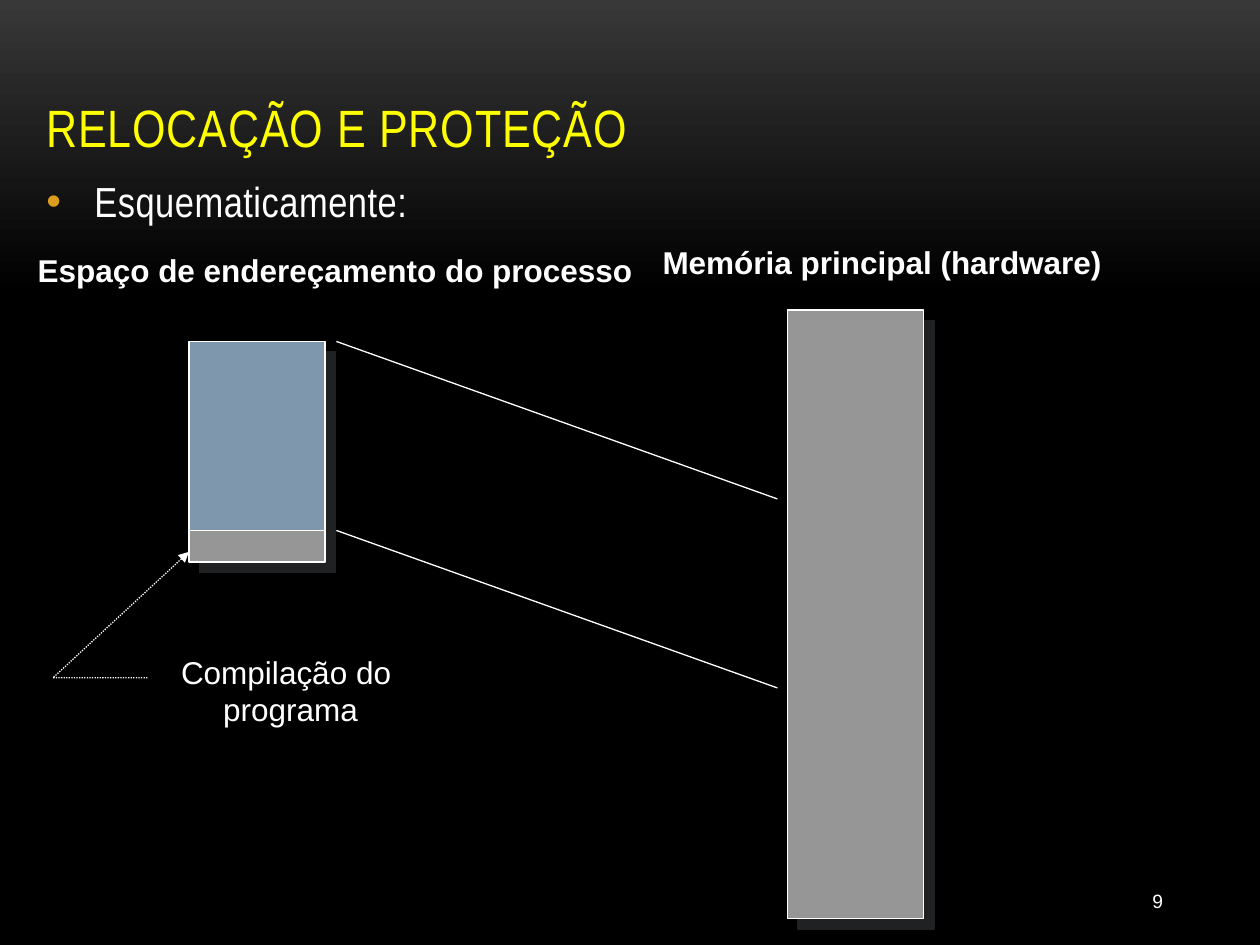
from lxml.etree import SubElement
from pptx import Presentation
from pptx.dml.color import RGBColor
from pptx.enum.dml import MSO_LINE
from pptx.enum.shapes import MSO_CONNECTOR, MSO_SHAPE
from pptx.enum.text import MSO_ANCHOR as ANCHOR, PP_ALIGN as ALIGN
from pptx.oxml.ns import qn
from pptx.util import Inches, Pt

WHITE, GRAY, BLUE = "FFFFFF", "969696", "7E97AD"
YELLOW, AMBER, SHADOW = "FFFF00", "DC9E1F", "1F2123"


def rgb(value):
    return RGBColor.from_string(value)


def add_xml(parent, tag, **attrs):
    return SubElement(parent, qn(tag), {k: str(v) for k, v in attrs.items()})


class SlideBuilder:
    line_width = Pt(0.75)

    def __init__(self, s):
        self.s = s
        self.shapes = s.shapes

    def background(self, top, bottom, end):
        fill = self.s.background.fill
        fill.gradient()
        fill.gradient_angle = 270
        for stop, color, pos in zip(fill.gradient_stops, (top, bottom), (0, end)):
            stop.color.rgb = rgb(color)
            stop.position = pos

    def outline(self, sp):
        sp.line.color.rgb = rgb(WHITE)
        sp.line.width = self.line_width

    def text(self, text, box, size, font="Arial", color=WHITE, bold=False,
             spacing=0, wrap=False, anchor=ANCHOR.TOP, bullet=None, **fmt):
        tf = self.shapes.add_textbox(*map(Inches, box)).text_frame
        tf.word_wrap = wrap
        tf.vertical_anchor = anchor
        p = tf.paragraphs[0]
        p.text = text
        for name, value in fmt.items():
            setattr(p, name, value)
        if bullet:
            pPr = p._p.get_or_add_pPr()
            pPr.set("marL", str(Inches(0.38)))
            pPr.set("indent", str(-Inches(0.38)))
            add_xml(add_xml(pPr, "a:buClr"), "a:srgbClr", val=bullet)
            add_xml(pPr, "a:buFont", typeface="Arial")
            add_xml(pPr, "a:buChar", char="•")
        style = {"name": font, "size": Pt(size), "bold": bold}
        for r in p.runs:
            for name, value in style.items():
                setattr(r.font, name, value)
            r.font.color.rgb = rgb(color)
            if spacing:
                r._r.get_or_add_rPr().set("spc", str(int(spacing * 100)))

    def block(self, box, color, shapes=None):
        shapes = shapes or self.shapes
        sp = shapes.add_shape(MSO_SHAPE.RECTANGLE, *map(Inches, box))
        sp.fill.solid()
        sp.fill.fore_color.rgb = rgb(color)
        self.outline(sp)
        sp.shadow.inherit = False
        effects = sp._element.spPr.find(qn("a:effectLst"))
        shadow = add_xml(effects, "a:outerShdw", dist=Pt(8.5), dir=45 * 60000,
                         algn="ctr", rotWithShape=0)
        add_xml(shadow, "a:srgbClr", val=SHADOW)

    def stack(self, left, top, width, parts):
        group = self.shapes.add_group_shape()
        for height, color in parts:
            self.block((left, top, width, height), color, group.shapes)
            top += height

    def line(self, start, end):
        cxn = self.shapes.add_connector(
            MSO_CONNECTOR.STRAIGHT, *map(Inches, start + end))
        self.outline(cxn)
        add_xml(cxn._element.spPr, "a:effectLst")

    def dotted_arrow(self, points):
        start, *rest = [tuple(map(Inches, point)) for point in points]
        builder = self.shapes.build_freeform(*start)
        builder.add_line_segments(rest, close=False)
        sp = builder.convert_to_shape()
        sp.fill.background()
        sp.shadow.inherit = False
        self.outline(sp)
        sp.line.dash_style = MSO_LINE.ROUND_DOT
        add_xml(sp.line._get_or_add_ln(), "a:tailEnd", type="triangle")


def main():
    prs = Presentation()
    prs.slide_width, prs.slide_height = Inches(10), Inches(7.5)
    slide = SlideBuilder(prs.slides.add_slide(prs.slide_layouts[6]))
    slide.background("383838", "000000", 0.31)

    slide.text("RELOCAÇÃO E PROTEÇÃO", (0.27, 0.05, 9.53, 1.25), 30,
               "Arial Narrow", YELLOW, spacing=0.5, wrap=True,
               anchor=ANCHOR.BOTTOM)
    slide.text("Esquematicamente:", (0.27, 1.39, 9.45, 1.1), 24,
               "Arial Narrow", spacing=0.3, wrap=True, bullet=AMBER,
               line_spacing=0.9, space_after=Pt(6))

    slide.block((6.25, 2.46, 1.08, 4.83), GRAY)
    for top in (2.71, 4.21):
        slide.line((2.67, top), (6.17, top + 1.25))
    slide.text("Compilação do \vprograma", (1.33, 5.13, 1.95, 0.71), 18,
               alignment=ALIGN.CENTER)
    slide.dotted_arrow([(1.17, 5.38), (0.42, 5.38), (1.5, 4.38)])
    slide.text("Espaço de endereçamento do processo",
               (0.2, 1.94, 4.97, 0.4), 18, bold=True)
    slide.text("Memória principal (hardware)",
               (5.16, 1.88, 3.72, 0.4), 18, bold=True)
    slide.stack(1.5, 2.71, 1.08, [(1.5, BLUE), (0.25, GRAY)])
    slide.text("9", (8.25, 6.95, 1.08, 0.4), 11, wrap=True,
               anchor=ANCHOR.MIDDLE, alignment=ALIGN.RIGHT)
    prs.save("out.pptx")


if __name__ == "__main__":
    main()
